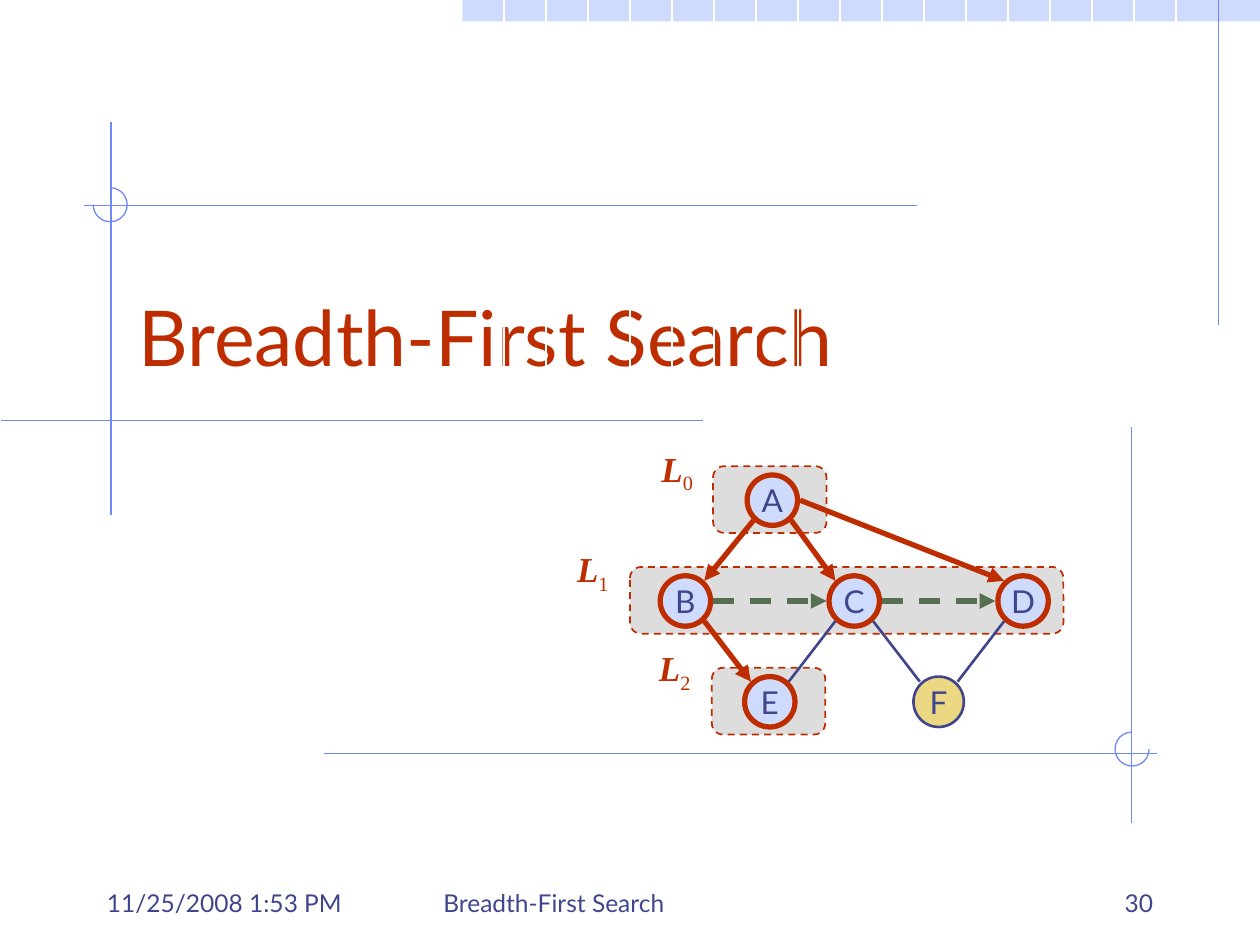
"""Build the Breadth-First Search title slide with its level-by-level graph."""
from lxml.etree import SubElement
from pptx import Presentation
from pptx.dml.color import RGBColor
from pptx.enum.dml import MSO_LINE
from pptx.enum.shapes import MSO_CONNECTOR, MSO_SHAPE
from pptx.enum.text import MSO_ANCHOR, MSO_AUTO_SIZE, PP_ALIGN
from pptx.oxml.ns import qn
from pptx.util import Inches, Pt

COLORS = {
    "red": "BE2D00", "navy": "40458C", "pale": "CFDBFD", "blue": "6F89F7",
    "gray": "DDDDDD", "green": "577052", "yellow": "ECD882", "white": "FFFFFF",
}
SANS, SERIF = "Lato", "Times New Roman"
TITLE = "Breadth-First Search"
FOOTERS = [
    ("11/25/2008 1:53 PM", 0.75, 2.08, PP_ALIGN.LEFT),
    (TITLE, 3.42, 3.17, PP_ALIGN.LEFT),
    ("30", 7.17, 2.08, PP_ALIGN.RIGHT),
]
RULES = [
    ((9.67, 0), (9.67, 2.58)), ((0.88, 0.97), (0.88, 4.09)),
    ((5.58, 3.34), (0.01, 3.34)), ((7.28, 1.63), (0.67, 1.63)),
    ((2.57, 5.98), (9.18, 5.98)), ((8.98, 3.39), (8.98, 6.53)),
]
ARCS = [(0.74, 1.49, 270, 180), (8.85, 5.81, 0, 270)]
LEVELS = [
    ("0", 5.66, 3.7, 0.9, 5.12, 3.5),
    ("1", 5, 4.5, 3.44, 4.45, 4.3),
    ("2", 5.65, 5.3, 0.9, 5.1, 5.08),
]
NODES = {
    "A": (6.13, 3.97), "B": (5.44, 4.77), "C": (6.78, 4.77),
    "D": (8.12, 4.77), "E": (6.11, 5.57), "F": (7.45, 5.57),
}
UNVISITED = "F"
SITES = {
    "nw": (-0.15, -0.16), "ne": (0.15, -0.16), "sw": (-0.15, 0.16),
    "se": (0.15, 0.16), "w": (-0.22, 0), "e": (0.22, 0),
}
STYLES = {
    "tree": ("red", 3, False, True),
    "cross": ("green", 3, True, True),
    "open": ("navy", 1.5, False, False),
}
EDGES = [
    ("A", "sw", "B", "ne", "tree"), ("A", "se", "C", "nw", "tree"),
    ("A", "e", "D", "nw", "tree"), ("B", "se", "E", "nw", "tree"),
    ("B", "e", "C", "w", "cross"), ("C", "e", "D", "w", "cross"),
    ("E", "ne", "C", "sw", "open"), ("C", "se", "F", "nw", "open"),
    ("F", "ne", "D", "sw", "open"),
]
PAGE_WIDTH, PAGE_HEIGHT = 10, 7.5
BAND_LEFT, BAND_HEIGHT, GRID = 3.67, 0.17, 1 / 3
NODE_SIZE, LEVEL_HEIGHT, ARC_SIZE = 0.4, 0.53, 0.27


def color(name):
    return RGBColor.from_string(COLORS[name])


def style_line(line, name, width, dashed=False):
    line.color.rgb = color(name)
    line.width = Pt(width)
    if dashed:
        line.dash_style = MSO_LINE.DASH


def style_font(font, name, size, shade):
    font.name, font.size = name, Pt(size)
    font.color.rgb = color(shade)


def add_line(page, start, end, name, width, dashed=False, arrow=False):
    points = [Inches(value) for value in (*start, *end)]
    line = page.shapes.add_connector(MSO_CONNECTOR.STRAIGHT, *points)
    style_line(line.line, name, width, dashed)
    properties = line._element.spPr
    if arrow:
        SubElement(properties.find(qn("a:ln")), qn("a:tailEnd"), type="triangle")
    SubElement(properties, qn("a:effectLst"))


def add_shape(page, kind, left, top, width, height, fill=None):
    shape = page.shapes.add_shape(kind, *map(Inches, (left, top, width, height)))
    shape.shadow.inherit = False
    if fill:
        shape.fill.solid()
        shape.fill.fore_color.rgb = color(fill)
    else:
        shape.fill.background()
    return shape


def add_text(page, left, top, width, height, align):
    box = page.shapes.add_textbox(*map(Inches, (left, top, width, height)))
    box.text_frame.word_wrap = True
    para = box.text_frame.paragraphs[0]
    para.alignment = align
    return box.text_frame, para


def add_background(page):
    band = add_shape(page, MSO_SHAPE.RECTANGLE, BAND_LEFT, 0,
                     PAGE_WIDTH - BAND_LEFT, BAND_HEIGHT, "pale")
    band.line.fill.background()
    for step in range(12, 29):
        add_line(page, (step * GRID, 0), (step * GRID, PAGE_HEIGHT), "white", 0.75)
    for start, end in RULES:
        add_line(page, start, end, "blue", 0.75)
    for left, top, first, last in ARCS:
        arc = add_shape(page, MSO_SHAPE.ARC, left, top, ARC_SIZE, ARC_SIZE)
        arc.adjustments[0], arc.adjustments[1] = first * 0.6, last * 0.6
        style_line(arc.line, "blue", 0.75)


def add_words(page):
    title = page.shapes.title
    title.left, title.top, title.width, title.height = map(Inches, (1, 1.83, 8.5, 1.25))
    frame = title.text_frame
    frame.text = TITLE
    frame.auto_size = MSO_AUTO_SIZE.NONE
    frame.vertical_anchor = MSO_ANCHOR.BOTTOM
    frame.paragraphs[0].alignment = PP_ALIGN.LEFT
    style_font(frame.paragraphs[0].runs[0].font, SANS, 44, "red")
    for text, left, width, align in FOOTERS:
        frame, para = add_text(page, left, 6.83, width, 0.5, align)
        frame.vertical_anchor = MSO_ANCHOR.BOTTOM
        para.text = text
        style_font(para.runs[0].font, SANS, 14, "navy")


def add_level(page, number, left, top, width, label_left, label_top):
    level = add_shape(page, MSO_SHAPE.ROUNDED_RECTANGLE, left, top, width, LEVEL_HEIGHT, "gray")
    style_line(level.line, "red", 1, True)
    para = add_text(page, label_left, label_top, 0.51, 0.43, PP_ALIGN.CENTER)[1]
    for text, is_letter in (("L", True), (number, False)):
        span = para.add_run()
        span.text = text
        style_font(span.font, SERIF, 20, "red")
        span.font.bold = span.font.italic = is_letter
        if not is_letter:
            span._r.get_or_add_rPr().set("baseline", "-25000")


def add_node(page, name, x, y):
    unvisited = name == UNVISITED
    half = NODE_SIZE / 2
    node = add_shape(page, MSO_SHAPE.OVAL, x - half, y - half, NODE_SIZE, NODE_SIZE,
                     "yellow" if unvisited else "pale")
    style_line(node.line, *(("navy", 1.5) if unvisited else ("red", 3)))
    frame = node.text_frame
    frame.text = name
    frame.word_wrap = False
    frame.vertical_anchor = MSO_ANCHOR.MIDDLE
    frame.paragraphs[0].alignment = PP_ALIGN.CENTER
    style_font(frame.paragraphs[0].runs[0].font, SANS, 18, "navy")


def site_point(node, site):
    return [center + shift for center, shift in zip(NODES[node], SITES[site])]


def main():
    deck = Presentation()
    deck.slide_width, deck.slide_height = Inches(PAGE_WIDTH), Inches(PAGE_HEIGHT)
    page = deck.slides.add_slide(deck.slide_layouts[5])
    add_background(page)
    add_words(page)
    for level in LEVELS:
        add_level(page, *level)
    for name, (x, y) in NODES.items():
        add_node(page, name, x, y)
    for source, leave, target, enter, style in EDGES:
        add_line(page, site_point(source, leave), site_point(target, enter), *STYLES[style])
    deck.save("out.pptx")


if __name__ == "__main__":
    main()
